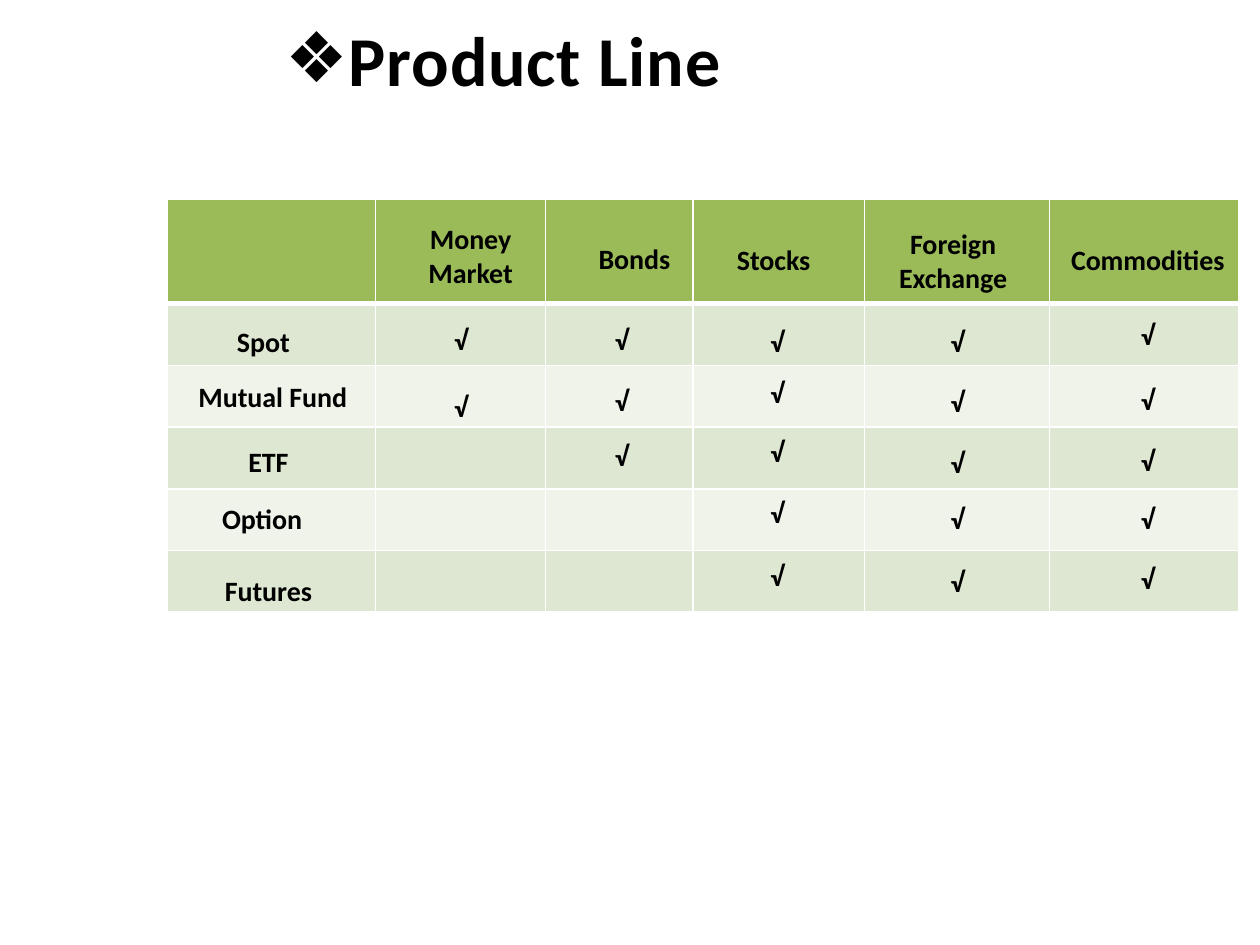
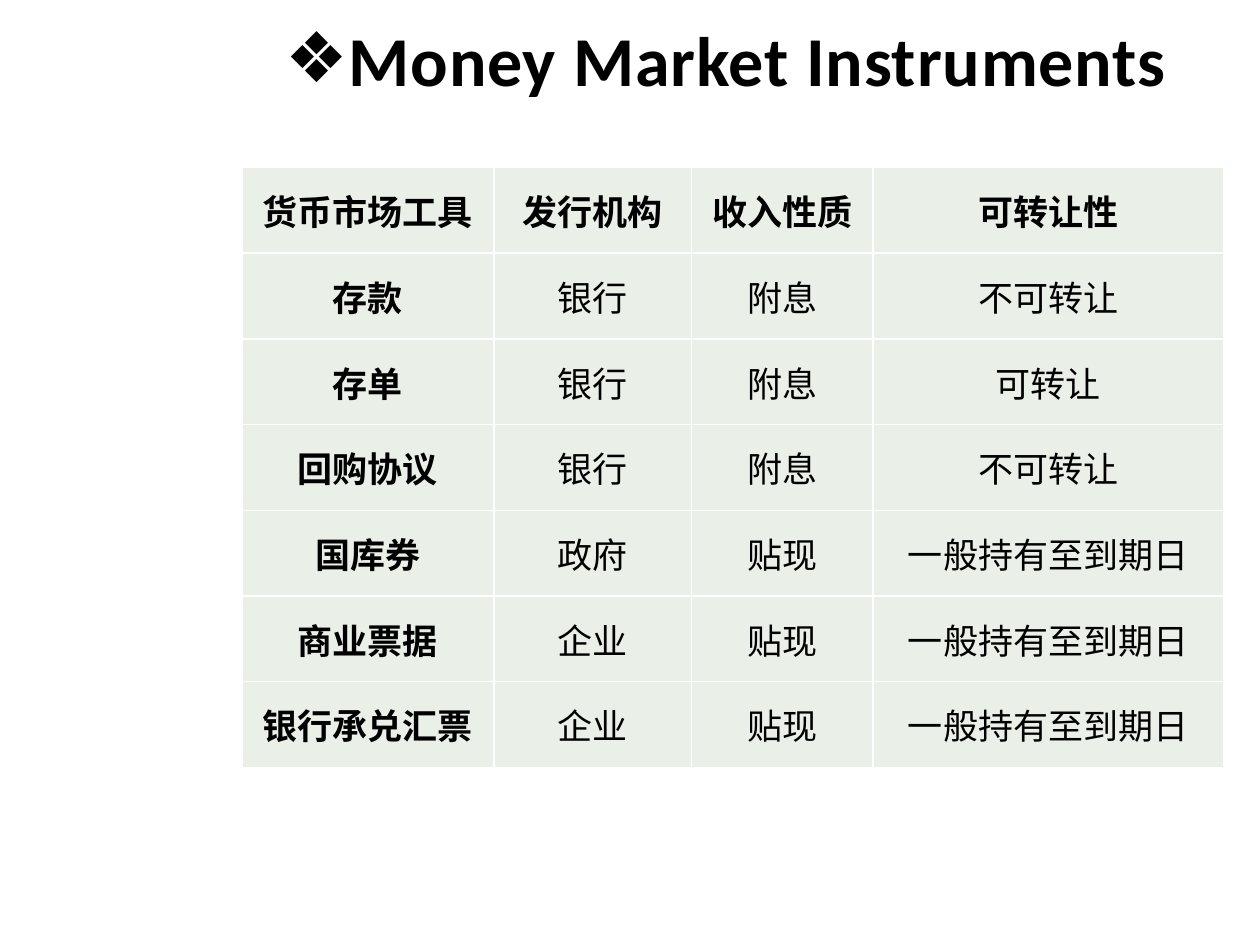
from lxml import etree
from pptx import Presentation
from pptx.dml.color import RGBColor
from pptx.enum.text import MSO_ANCHOR, MSO_AUTO_SIZE, PP_ALIGN
from pptx.oxml.ns import qn
from pptx.util import Inches, Pt

CENTER, LEFT = PP_ALIGN.CENTER, PP_ALIGN.LEFT
TOP, MIDDLE = MSO_ANCHOR.TOP, MSO_ANCHOR.MIDDLE
GROW = MSO_AUTO_SIZE.SHAPE_TO_FIT_TEXT

BLACK = RGBColor(0x00, 0x00, 0x00)
GREEN = RGBColor(0x9B, 0xBB, 0x59)
BAND_DARK = RGBColor(0xDE, 0xE7, 0xD1)
BAND_LIGHT = RGBColor(0xEF, 0xF3, 0xEA)
PALE_GREEN = RGBColor(0xEA, 0xEF, 0xE7)
BORDER_COLOR = "FFFFFF"
TITLE_FONT = LABEL_FONT = "Calibri"
TABLE_FONT = "Arial"

# Product line: text, left, top, width, height
HEADERS = [
    ("Money Market", 3.11, 1.71, 1.25, 0.64),
    ("Bonds", 4.52, 1.87, 1.03, 0.37),
    ("Stocks", 5.55, 1.88, 1.18, 0.37),
    ("Foreign Exchange", 6.73, 1.75, 1.67, 0.64),
    ("Commodities", 8.39, 1.88, 1.44, 0.37),
]
PRODUCTS = [
    ("Spot", 1.43, 2.53, 1.32, 0.34),
    ("Mutual Fund", 1.42, 2.96, 1.49, 0.37),
    ("ETF", 1.47, 3.48, 1.32, 0.34),
    ("Option", 1.42, 3.93, 1.32, 0.34),
    ("Futures", 1.47, 4.5, 1.32, 0.34),
]
# Check marks by market: left, width, height, anchor, tops
CHECK_COLUMNS = [
    (3.0, 1.32, 0.37, MIDDLE, [2.51, 3.04]),
    (4.4, 1.07, 0.37, MIDDLE, [2.51, 2.99, 3.43]),
    (5.58, 1.18, 0.37, MIDDLE, [2.52, 2.93, 3.4, 3.88, 4.38]),
    (6.94, 1.32, 0.34, TOP, [2.53, 3.0, 3.49, 3.93, 4.43]),
    (8.45, 1.32, 0.34, TOP, [2.47, 2.99, 3.47, 3.93, 4.41]),
]

INSTRUMENTS = [
    ("货币市场工具", "发行机构", "收入性质", "可转让性"),
    ("存款", "银行", "附息", "不可转让"),
    ("存单", "银行", "附息", "可转让"),
    ("回购协议", "银行", "附息", "不可转让"),
    ("国库券", "政府", "贴现", "一般持有至到期日"),
    ("商业票据", "企业", "贴现", "一般持有至到期日"),
    ("银行承兑汇票", "企业", "贴现", "一般持有至到期日"),
]


def write_text(frame, text, *, size, font, bold=True, align=CENTER):
    """Fill the first paragraph of a frame and return it."""
    para = frame.paragraphs[0]
    para.alignment = align
    span = para.add_run()
    span.text = text
    span.font.size = Pt(size)
    span.font.name = font
    span.font.bold = bold
    span.font.color.rgb = BLACK
    return para


def add_box(page, left, top, width, height, *, anchor=TOP, wrap=True):
    box = page.shapes.add_textbox(Inches(left), Inches(top), Inches(width), Inches(height))
    frame = box.text_frame
    frame.word_wrap = wrap
    frame.auto_size = GROW
    frame.vertical_anchor = anchor
    return frame


def add_label(page, text, left, top, width, height, anchor=TOP):
    frame = add_box(page, left, top, width, height, anchor=anchor)
    write_text(frame, text, size=16, font=LABEL_FONT)


def add_title(page, text, width):
    frame = add_box(page, 2.17, 0.08, width, 0.77, anchor=MIDDLE, wrap=False)
    para = write_text(frame, text, size=40, font=TITLE_FONT, align=LEFT)
    para.space_before = para.space_after = Pt(6)
    para.runs[0].font._element.set("spc", "50")
    # Hanging diamond bullet
    properties = para._p.get_or_add_pPr()
    properties.set("marL", str(Inches(0.5)))
    properties.set("indent", str(-Inches(0.5)))
    etree.SubElement(properties, qn("a:buFont"), typeface="Arial")
    etree.SubElement(properties, qn("a:buChar"), char="❖")


def style_cell(cell, fill, top=1, bottom=1):
    """Give a cell its borders (widths in points) and its fill."""
    properties = cell._tc.get_or_add_tcPr()
    for side, width in (("L", 1), ("R", 1), ("T", top), ("B", bottom)):
        line = etree.SubElement(properties, qn(f"a:ln{side}"), w=str(Pt(width)))
        solid = etree.SubElement(line, qn("a:solidFill"))
        etree.SubElement(solid, qn("a:srgbClr"), val=BORDER_COLOR)
    cell.fill.solid()
    cell.fill.fore_color.rgb = fill


def add_grid(page, left, top, widths, heights):
    frame = page.shapes.add_table(len(heights), len(widths), Inches(left), Inches(top),
                                  Inches(sum(widths)), Inches(sum(heights)))
    table = frame.table
    table.first_row = table.horz_banding = False
    for column, width in zip(table.columns, widths):
        column.width = Inches(width)
    for row, height in zip(table.rows, heights):
        row.height = Inches(height)
    return table


def build_product_line(page):
    add_title(page, "Product Line", 3.7)

    # Banded grid with a thick rule under the header
    table = add_grid(page, 1.33, 1.58, [1.65, 1.35, 1.17, 1.36, 1.47, 1.5],
                     [0.83] + [0.49] * len(PRODUCTS))
    for number, row in enumerate(table.rows):
        band = BAND_DARK if number % 2 else BAND_LIGHT
        for cell in row.cells:
            style_cell(cell, band if number else GREEN,
                       top=3 if number == 1 else 1, bottom=1 if number else 3)

    # Labels and check marks over the grid
    for label in HEADERS + PRODUCTS:
        add_label(page, *label)
    for left, width, height, anchor, tops in CHECK_COLUMNS:
        for top in tops:
            add_label(page, "√", left, top, width, height, anchor)


def build_instruments(page):
    add_title(page, "Money Market Instruments", 7.28)

    table = add_grid(page, 1.92, 1.33, [2, 1.57, 1.44, 2.78], [0.68] * len(INSTRUMENTS))
    for row_number, texts in enumerate(INSTRUMENTS):
        for column_number, text in enumerate(texts):
            cell = table.cell(row_number, column_number)
            style_cell(cell, PALE_GREEN)
            cell.vertical_anchor = MIDDLE
            cell.margin_left = cell.margin_right = cell.margin_top = cell.margin_bottom = 0
            write_text(cell.text_frame, text, size=20, font=TABLE_FONT,
                       bold=row_number == 0 or column_number == 0)


def main():
    deck = Presentation()
    deck.slide_width, deck.slide_height = Inches(10), Inches(7.5)
    blank = deck.slide_layouts[6]
    for build in (build_product_line, build_instruments):
        build(deck.slides.add_slide(blank))
    deck.save("out.pptx")


if __name__ == "__main__":
    main()
